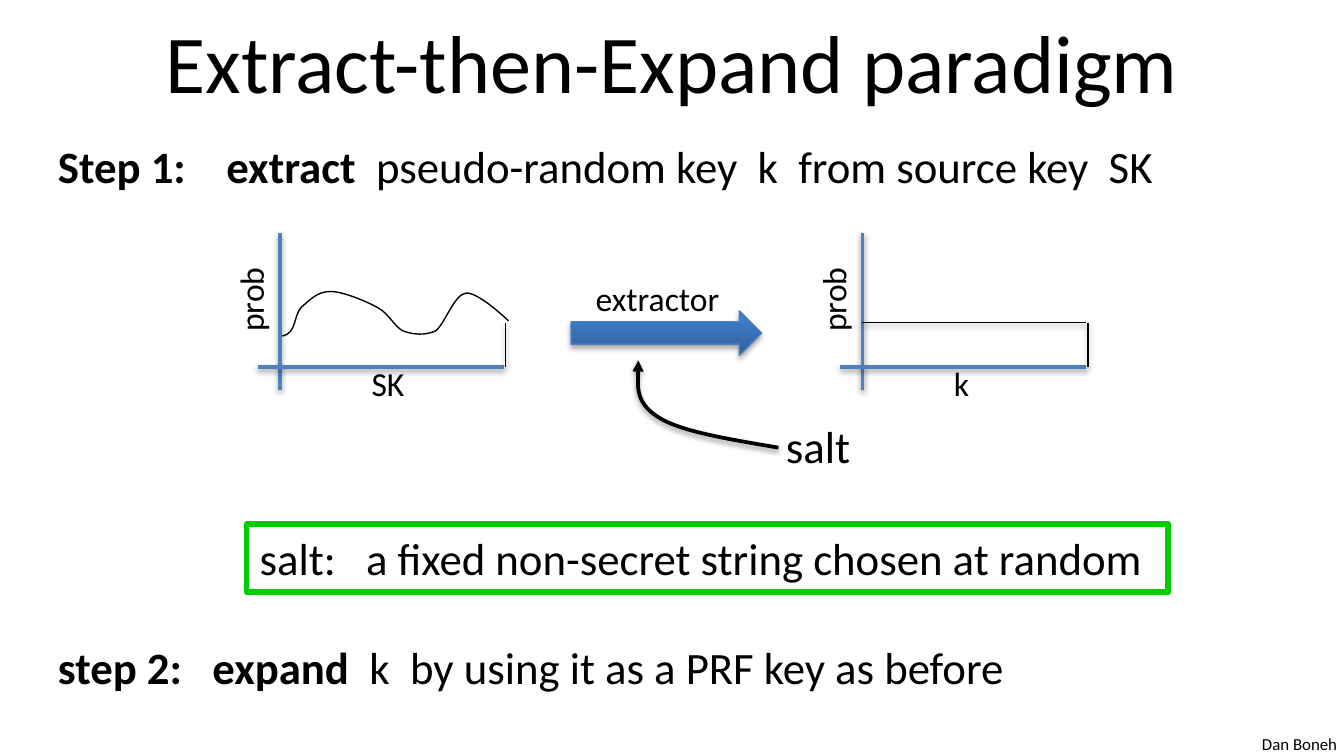
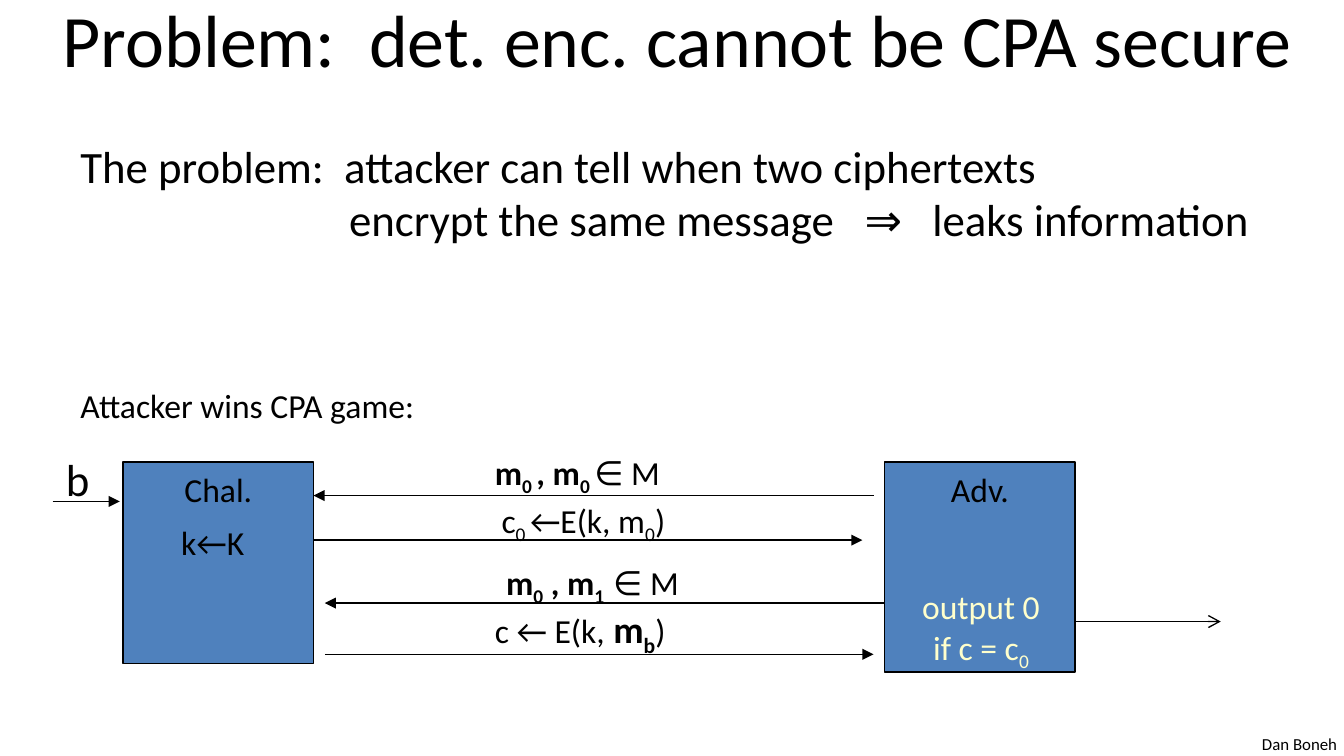
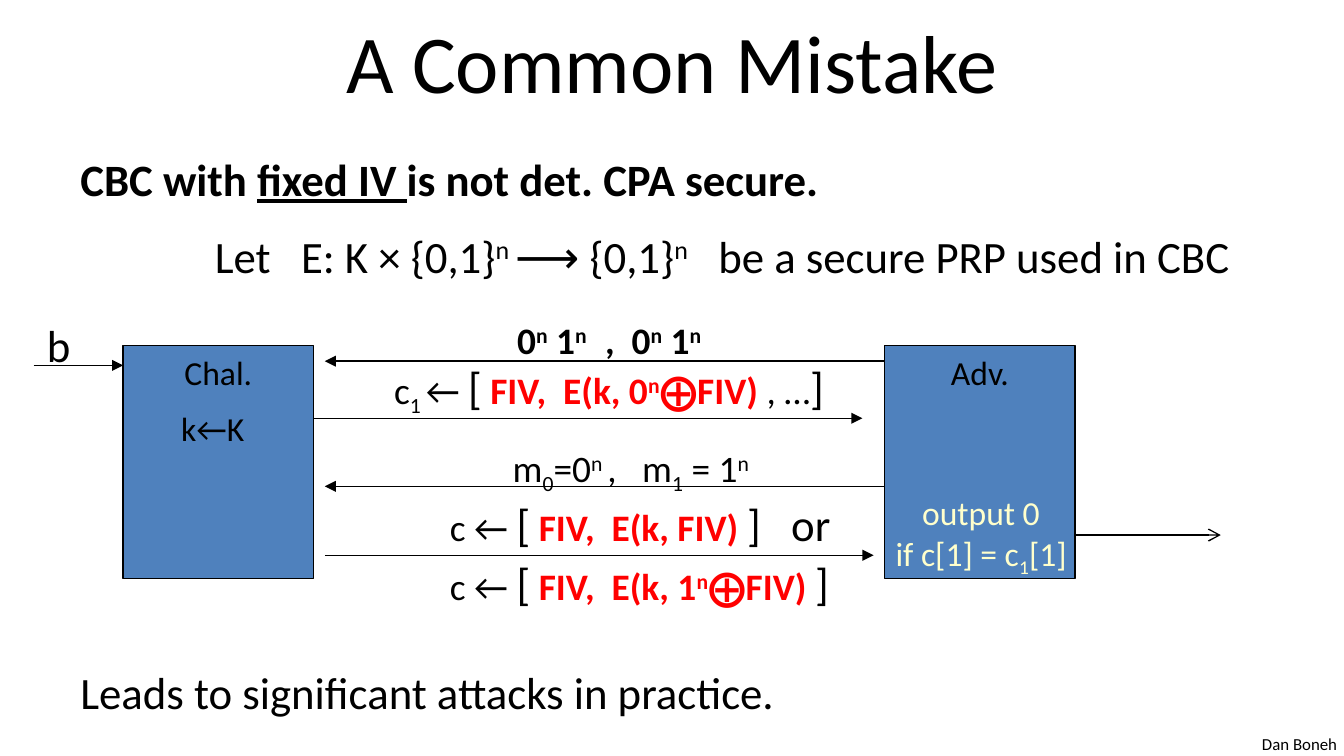
from copy import deepcopy
from dataclasses import dataclass
from typing import NamedTuple, Optional, Sequence

from lxml import etree
from pptx import Presentation
from pptx import util as u
from pptx.dml.color import RGBColor
from pptx.enum import shapes, text
from pptx.oxml.ns import qn

WIDTH, HEIGHT = u.Inches(10), u.Inches(5.625)
COLUMNS, ROWS = 120, 90
FONT = "Calibri"
BLACK = RGBColor(0x00, 0x00, 0x00)
BLUE = RGBColor(0x4F, 0x81, 0xBD)
ARROW_EDGE = RGBColor(0x4B, 0x7E, 0xBC)
GREEN = RGBColor(0x00, 0xCC, 0x00)
CREAM = RGBColor(0xFF, 0xFF, 0xCC)
RED = RGBColor(0xFF, 0x00, 0x00)
ARROW_STOPS = (
    (0, RGBColor(0x2F, 0x5F, 0x99)),
    (0.8, RGBColor(0x3D, 0x7C, 0xC7)),
    (1, RGBColor(0x3A, 0x7C, 0xCB)),
)
TITLE_SIZE, BODY_SIZE, FORMULA_SIZE, LABEL_SIZE, FOOTER_SIZE = 44, 24, 20, 18, 9
CENTER = text.PP_ALIGN.CENTER
MIDDLE = text.MSO_ANCHOR.MIDDLE


class Run(NamedTuple):
    text: str
    bold: bool = False
    base: int = 0
    size: Optional[float] = None
    colour: Optional[RGBColor] = None
    underline: bool = False


class Box(NamedTuple):
    column: float
    row: float
    columns: float
    rows: float


class Point(NamedTuple):
    column: float
    row: float


@dataclass
class Message:
    start: float
    end: float
    row: float
    label_at: Point
    label_columns: float
    label: Sequence[Run]
    size: float = LABEL_SIZE


@dataclass
class Game:
    top: float
    challenger_rows: float
    adversary_rows: float
    key_row: float
    messages: Sequence[Message]
    verdict_row: float
    verdict_columns: float
    verdict: Sequence[Run]
    output_row: float
    bit_row: float
    bit_label_row: float
    bit_start: float
    bit_end: float


def sub(index: str, bold: bool = False, size: Optional[float] = None) -> Run:
    return Run(index, bold, -25, size)


def sup(exponent: str, bold: bool = False, colour: Optional[RGBColor] = None) -> Run:
    return Run(exponent, bold, 30, None, colour)


def red(words: str) -> Run:
    return Run(words, True, colour=RED)


def bracket(words: str) -> Run:
    return Run(words, size=BODY_SIZE)


def x(columns: float) -> int:
    return round(WIDTH * columns / COLUMNS)


def y(rows: float) -> int:
    return round(HEIGHT * rows / ROWS)


def area(box: Box) -> tuple[int, int, int, int]:
    return x(box.column), y(box.row), x(box.columns), y(box.rows)


def text_rows(size: float, lines: int = 1) -> float:
    return u.Pt(1.22 * size * lines + 7.2) / HEIGHT * ROWS


def write(shape, paragraphs: Sequence[Sequence[Run]], *, size: float = BODY_SIZE,
          colour: RGBColor = BLACK, align=text.PP_ALIGN.LEFT, anchor=text.MSO_ANCHOR.TOP,
          wrap: bool = False, gap: float = 0, tabs: Sequence[float] = ()) -> None:
    frame = shape.text_frame
    frame.word_wrap = wrap
    frame.vertical_anchor = anchor
    for number, runs in enumerate(paragraphs):
        paragraph = frame.add_paragraph() if number else frame.paragraphs[0]
        paragraph.alignment = align
        if tabs:
            stops = etree.SubElement(paragraph._p.get_or_add_pPr(), qn("a:tabLst"))
            for stop in tabs:
                etree.SubElement(stops, qn("a:tab"), pos=str(x(stop)), algn="l")
        if number and gap:
            paragraph.space_before = u.Pt(gap)
        for part in runs:
            for line, piece in enumerate(part.text.split("\n")):
                if line:
                    paragraph.add_line_break()
                run = paragraph.add_run()
                run.text = piece
                run.font.name = FONT
                run.font.size = u.Pt(part.size or size)
                run.font.bold = part.bold
                run.font.color.rgb = part.colour or colour
                if part.underline:
                    run.font.underline = True
                if part.base:
                    run._r.get_or_add_rPr().set("baseline", str(part.base * 1000))


def add_text(slide, box: Box, *paragraphs: Sequence[Run], turn: float = 0, **style) -> None:
    holder = slide.shapes.add_textbox(*area(box))
    holder.rotation = turn
    write(holder, paragraphs, **style)


def add_label(slide, at: Point, columns: float, *paragraphs: Sequence[Run],
              size: float = LABEL_SIZE, **style) -> None:
    tallest = max(run.size or size for runs in paragraphs for run in runs)
    box = Box(*at, columns, text_rows(tallest, len(paragraphs)))
    add_text(slide, box, *paragraphs, size=size, **style)


def set_effects(shape, opacity: int = 0, distance: float = 1.6) -> None:
    effects = etree.SubElement(shape._element.spPr, qn("a:effectLst"))
    if opacity:
        shadow = etree.SubElement(
            effects, qn("a:outerShdw"), blurRad=str(u.Pt(3.1)),
            dist=str(u.Pt(distance)), dir="5400000", rotWithShape="0")
        tint = etree.SubElement(shadow, qn("a:srgbClr"), val=str(BLACK))
        etree.SubElement(tint, qn("a:alpha"), val=str(opacity * 1000))


def set_line(shape, colour: RGBColor, points: float, head: str = "") -> None:
    shape.line.color.rgb = colour
    shape.line.width = u.Pt(points)
    if head:
        etree.SubElement(shape.line._get_or_add_ln(), qn("a:tailEnd"), type=head)


def add_line(slide, start: Point, end: Point, colour: RGBColor = BLACK,
             points: float = 0.75, head: str = "", opacity: int = 0) -> None:
    line = slide.shapes.add_connector(
        shapes.MSO_CONNECTOR.STRAIGHT, x(start.column), y(start.row), x(end.column), y(end.row))
    set_line(line, colour, points, head)
    set_effects(line, opacity)


def add_curve(slide, points: Sequence[tuple[float, float]], width: float,
              head: str = "", opacity: int = 0) -> None:
    start, *others = [(x(column), y(row)) for column, row in points]
    builder = slide.shapes.build_freeform(*start)
    builder.add_line_segments(others, close=False)
    curve = builder.convert_to_shape()
    outline = next(curve._element.iter(qn("a:path")))
    segments = outline.findall(qn("a:lnTo"))
    for first in range(0, len(segments), 3):
        bend = etree.SubElement(outline, qn("a:cubicBezTo"))
        for segment in segments[first:first + 3]:
            bend.append(segment[0])
            outline.remove(segment)
    curve.fill.background()
    set_line(curve, BLACK, width, head)
    set_effects(curve, opacity)


def add_box(slide, box: Box, fill: Optional[RGBColor], edge: RGBColor, points: float,
            *paragraphs: Sequence[Run], **style) -> None:
    panel = slide.shapes.add_shape(shapes.MSO_SHAPE.RECTANGLE, *area(box))
    if fill is None:
        panel.fill.background()
    else:
        panel.fill.solid()
        panel.fill.fore_color.rgb = fill
    set_line(panel, edge, points)
    panel.shadow.inherit = False
    write(panel, paragraphs, **style)


def start_slide(deck, title: str, box: Box = Box(6, -0.3, 108, 15), size: float = TITLE_SIZE):
    slide = deck.slides.add_slide(deck.slide_layouts[6])
    add_label(slide, Point(111.5, 86.6), 9.1, [Run("Dan Boneh")], size=FOOTER_SIZE)
    add_text(slide, box, [Run(title)], size=size, align=CENTER, anchor=MIDDLE, wrap=True)
    return slide


def add_axes(slide, left: float, variable: str, columns: float) -> None:
    origin, base = left + 2, 43.7
    axis = dict(colour=BLUE, points=2, opacity=38)
    add_line(slide, Point(origin, 27.7), Point(origin, 46.4), **axis)
    add_line(slide, Point(left, base), Point(left + 22, base), **axis)
    add_label(slide, Point(left - 4.75, 32.3), 8.3, [Run("prob")], turn=270)
    add_line(slide, Point(left + 22.15, 38.4), Point(left + 22.15, base), opacity=38)
    add_label(slide, Point(left + 9, 42.4), columns, [Run(variable)])


def add_extractor(slide) -> None:
    arrow = slide.shapes.add_shape(shapes.MSO_SHAPE.RIGHT_ARROW, *area(Box(51, 37, 17, 5.3)))
    arrow.fill.gradient()
    arrow.fill.gradient_angle = 90
    first = arrow.fill.gradient_stops[0]._gs
    first.addnext(deepcopy(first))
    for stop, (position, colour) in zip(arrow.fill.gradient_stops, ARROW_STOPS):
        stop.position = position
        stop.color.rgb = colour
    set_line(arrow, ARROW_EDGE, 0.75)
    set_effects(arrow, 35, 1.8)
    add_label(slide, Point(52, 32.3), 13.7, [Run("extractor")])


def add_game(slide, game: Game) -> None:
    for name, column, rows in (("Chal.", 11, game.challenger_rows), ("Adv.", 79, game.adversary_rows)):
        add_box(slide, Box(column, game.top, 17, rows), BLUE, BLACK, 0.75,
                [Run(name)], size=LABEL_SIZE, align=CENTER)
    add_label(slide, Point(15, game.key_row), 8.4, [Run("k←K")])
    for message in game.messages:
        add_line(slide, Point(message.start, message.row), Point(message.end, message.row), head="triangle")
        add_label(slide, message.label_at, message.label_columns, message.label, size=message.size)
    add_label(slide, Point(87.6 - game.verdict_columns / 2, game.verdict_row), game.verdict_columns,
              [Run("output 0")], game.verdict, colour=CREAM, align=CENTER)
    add_line(slide, Point(96, game.output_row), Point(109, game.output_row), head="arrow")
    add_line(slide, Point(game.bit_start, game.bit_row), Point(game.bit_end, game.bit_row), head="triangle")
    add_label(slide, Point(game.bit_start, game.bit_label_row), 4.6, [Run("b")], size=BODY_SIZE)


def build_extract_slide(deck) -> None:
    slide = start_slide(deck, "Extract-then-Expand paradigm")
    steps = (
        (15.7, "Step 1:    extract  ", "pseudo-random key  k  from source key  SK"),
        (75.4, "step 2:   expand  ", "k  by using it as a PRF key as before"),
    )
    for row, step, action in steps:
        add_label(slide, Point(4, row), 108, [Run(step, True), Run(action)], size=BODY_SIZE, wrap=True)
    add_axes(slide, 23, "SK", 5.4)
    add_curve(slide, (
        (25.2, 40), (26.5, 39.7), (26.2, 37.6), (26.9, 36.6),
        (27.6, 35.8), (28.3, 34.7), (29.5, 34.7),
        (30.6, 34.7), (32.6, 35.8), (33.7, 36.6),
        (34.8, 37.4), (35.2, 38.9), (36, 39.4),
        (36.8, 39.8), (37.9, 40), (38.9, 39.4),
        (39.7, 38.6), (40.6, 35), (41.6, 34.9),
        (42.7, 34.7), (45.4, 38.2), (45.4, 38.2)), 0.75)
    add_axes(slide, 75, "k", 3.8)
    add_line(slide, Point(97, 38.4), Point(77, 38.4), opacity=38)
    add_extractor(slide)
    add_curve(slide, (
        (69.5, 53.3), (65.2, 52.3), (60.7, 51.4), (58.7, 49.6),
        (56.6, 47.8), (57, 42.9), (57, 42.9)), 2, "triangle", 38)
    add_label(slide, Point(69, 49), 8.2, [Run("salt")], size=BODY_SIZE)
    add_box(slide, Box(22, 62.4, 82.3, text_rows(BODY_SIZE)), None, GREEN, 3,
            [Run("salt:   a fixed non-secret string chosen at random")], wrap=True)


def build_problem_slide(deck) -> None:
    slide = start_slide(deck, "Problem:  det. enc. cannot be CPA secure", Box(3, -3, 115, 15), 39.6)
    add_text(slide, Box(6, 15.7, 108, 32), [Run(
        "The problem:  attacker can tell when two ciphertexts \n"
        "\t\tencrypt the same message   ⇒   leaks information")], wrap=True, tabs=(12, 24))
    add_label(slide, Point(6, 45), 33, [Run("Attacker wins CPA game:")])
    member = Run("∈ M")
    add_game(slide, Game(
        top=55, challenger_rows=24, adversary_rows=25, key_row=61.3,
        messages=(
            Message(79, 29, 71.8, Point(44, 66.1), 17.9,
                    [Run("m", True), sub("0", True), Run(" , m", True), sub("1  ", True), member]),
            Message(29, 78, 77.9, Point(43, 71.4), 18.2,
                    [Run("c ← E(k,"), Run(" m", True, size=FORMULA_SIZE),
                     sub("b", True, FORMULA_SIZE), Run(")")]),
            Message(78, 28, 59, Point(43, 53), 17.3,
                    [Run("m", True), sub("0 ", True), Run(", m", True), sub("0 ", True), member]),
            Message(28, 77, 64.3, Point(43.6, 58.7), 18,
                    [Run("c"), sub("0 "), Run("←E(k, m"), sub("0"), Run(")")]),
        ),
        verdict_row=69, verdict_columns=13.2, verdict=[Run("if c = c"), sub("0")],
        output_row=74, bit_row=59.7, bit_label_row=53, bit_start=4.7, bit_end=10.7))


def build_mistake_slide(deck) -> None:
    slide = start_slide(deck, "A Common Mistake")
    add_text(
        slide, Box(6, 17.3, 108, 21),
        [Run("CBC with ", True), Run("fixed IV ", True, underline=True), Run("is not det. CPA secure.", True)],
        [Run("\tLet   E: K × {0,1}"), sup("n "), Run("⟶ {0,1}"), sup("n"),
         Run("   be a secure PRP used in CBC")],
        wrap=True, gap=12.2, tabs=(12,))
    opening = [Run("← "), bracket("["), Run(" ")]
    add_game(slide, Game(
        top=41.1, challenger_rows=27.8, adversary_rows=27.8, key_row=47.8,
        messages=(
            Message(79, 29, 57.9, Point(44.6, 52.2), 25.2,
                    [Run("m"), sub("0"), Run("=0"), sup("n "), Run(",   m"), sub("1"),
                     Run(" = 1"), sup("n")], FORMULA_SIZE),
            Message(29, 78, 66.1, Point(39, 58.4), 38.4,
                    [Run("c "), *opening, red("FIV,  E(k, FIV) "), bracket("]   or")], FORMULA_SIZE),
            Message(79, 29, 43, Point(45, 37), 19.7,
                    [Run("0", True), sup("n", True), Run(" 1", True), sup("n  ", True),
                     Run(" ,  0", True), sup("n", True), Run(" 1", True), sup("n", True)], FORMULA_SIZE),
            Message(28, 77, 49.8, Point(34, 42), 42.1,
                    [Run("c"), sub("1 "), *opening, red("FIV,  E(k, 0"), sup("n", True, RED),
                     red("⨁FIV)"), Run(" , …"), bracket("]")], FORMULA_SIZE),
        ),
        verdict_row=57.8, verdict_columns=18, verdict=[Run("if c[1] = c"), sub("1"), Run("[1]")],
        output_row=63.7, bit_row=43.5, bit_label_row=37, bit_start=3, bit_end=11))
    add_label(slide, Point(39, 65.4), 37.4,
              [Run("c "), *opening, red("FIV,  E(k, 1"), sup("n", True, RED), red("⨁FIV) "), bracket("]")],
              size=FORMULA_SIZE)
    add_label(slide, Point(6, 78.4), 65.3, [Run("Leads to significant attacks in practice.")], size=BODY_SIZE)


def main() -> None:
    deck = Presentation()
    deck.slide_width, deck.slide_height = WIDTH, HEIGHT
    build_extract_slide(deck)
    build_problem_slide(deck)
    build_mistake_slide(deck)
    deck.save("out.pptx")


if __name__ == "__main__":
    main()
